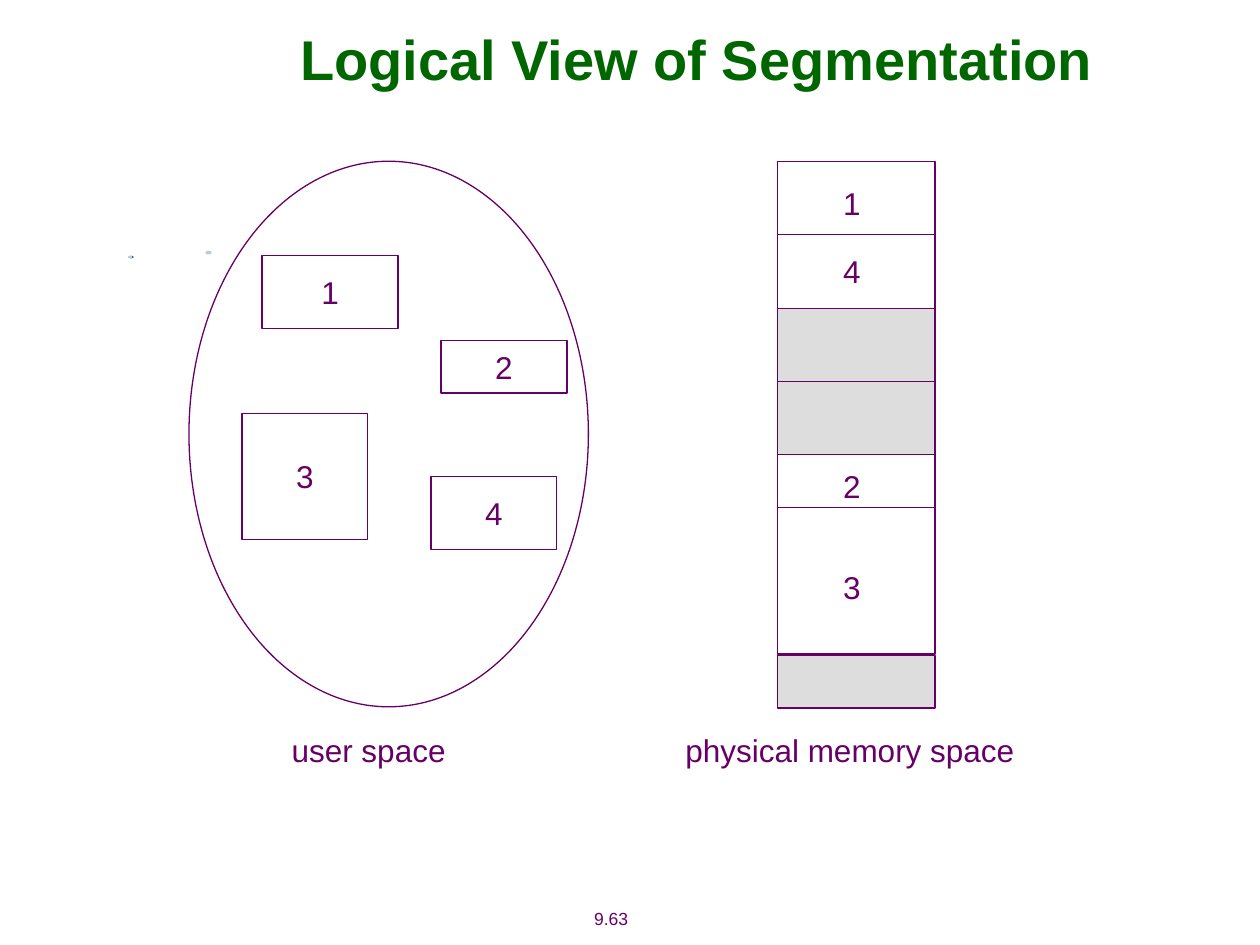
from lxml.etree import SubElement
from pptx import Presentation
from pptx.dml.color import RGBColor
from pptx.enum.shapes import MSO_CONNECTOR, MSO_SHAPE
from pptx.enum.text import MSO_ANCHOR, PP_ALIGN
from pptx.oxml.ns import qn
from pptx.util import Inches, Pt

PURPLE = RGBColor(0x66, 0x00, 0x66)
GREEN = RGBColor(0x00, 0x66, 0x00)
WHITE = RGBColor(0xFF, 0xFF, 0xFF)
FREE_GRAY = RGBColor(0xDD, 0xDD, 0xDD)
SPECK_BLUE = RGBColor(0x28, 0x4C, 0x70)
SPECK_GRAY = RGBColor(0xBF, 0xCC, 0xD8)


def write_text(shape, text, size=18, color=PURPLE, bold=False, wrap=False):
    frame = shape.text_frame
    frame.word_wrap = wrap
    frame.vertical_anchor = MSO_ANCHOR.MIDDLE
    para = frame.paragraphs[0]
    para.alignment = PP_ALIGN.CENTER
    span = para.add_run()
    span.text = text
    span.font.name = "Arial"
    span.font.size = Pt(size)
    span.font.bold = bold
    span.font.color.rgb = color


def add_outline(page, kind, left, top, width, height, fill=WHITE, line=PURPLE):
    shape = page.shapes.add_shape(
        kind, Inches(left), Inches(top), Inches(width), Inches(height))
    shape.shadow.inherit = False
    shape.fill.solid()
    shape.fill.fore_color.rgb = fill
    if line is None:
        shape.line.fill.background()
    else:
        shape.line.color.rgb = line
        shape.line.width = Pt(0.75)
    return shape


def add_label(page, text, left, top, width, height=0.4, size=18):
    box = page.shapes.add_textbox(
        Inches(left), Inches(top), Inches(width), Inches(height))
    write_text(box, text, size)


def add_divider(page, left, top, width):
    line = page.shapes.add_connector(
        MSO_CONNECTOR.STRAIGHT, Inches(left), Inches(top),
        Inches(left + width), Inches(top))
    line.line.color.rgb = PURPLE
    line.line.width = Pt(0.75)
    SubElement(line._element.spPr, qn("a:effectLst"))


def add_title(page, left, top, width, height):
    title = page.shapes.title
    title.left, title.top = Inches(left), Inches(top)
    title.width, title.height = Inches(width), Inches(height)
    write_text(title, "Logical View of Segmentation", 32, GREEN, True, True)


def add_specks(page, left, top):
    specks = [
        (0, 0.04, 0.04, 0.02, SPECK_BLUE),
        (0, 0.04, 0.03, 0.02, SPECK_GRAY),
        (0.61, 0, 0.05, 0.03, SPECK_GRAY),
    ]
    for x, y, width, height, color in specks:
        add_outline(page, MSO_SHAPE.OVAL, left + x, top + y,
                    width, height, color, None)


def add_user_space(page, left, top, width, height):
    add_outline(page, MSO_SHAPE.OVAL, left, top, width, height)
    segments = [
        ("1", 0.58, 0.75, 1.08, 0.58),
        ("3", 0.42, 2, 1, 1),
        ("2", 2, 1.42, 1, 0.42),
        ("4", 1.92, 2.5, 1, 0.58),
    ]
    for name, x, y, seg_width, seg_height in segments:
        segment = add_outline(page, MSO_SHAPE.RECTANGLE, left + x, top + y,
                              seg_width, seg_height)
        write_text(segment, name)
    add_label(page, "user space", left + 0.68, top + height + 0.14, 1.49)


def add_physical_memory(page, left, top, width, height):
    blocks = [
        (0, 1.17, WHITE),
        (1.17, 1.17, FREE_GRAY),
        (2.33, 1.58, WHITE),
        (3.92, 0.42, FREE_GRAY),
    ]
    for y, block_height, fill in blocks:
        add_outline(page, MSO_SHAPE.RECTANGLE, left, top + y,
                    width, block_height, fill)
    for y in (0.58, 1.75, 2.75):
        add_divider(page, left, top + y, width)
    for name, y in (("1", 0.13), ("4", 0.67), ("2", 2.38), ("3", 3.18)):
        add_label(page, name, left + 0.42, top + y, 0.34)
    add_label(page, "physical memory space",
              left - 0.83, top + height + 0.14, 2.81)


def main():
    deck = Presentation()
    deck.slide_width, deck.slide_height = Inches(10), Inches(7.5)
    page = deck.slides.add_slide(deck.slide_layouts[5])
    add_specks(page, 1.02, 1.99)
    add_title(page, 1.28, 0, 8.5, 0.92)
    add_user_space(page, 1.5, 1.28, 3.17, 4.33)
    add_physical_memory(page, 6.17, 1.28, 1.25, 4.33)
    add_label(page, "9.63", 4.38, 7.14, 0.94, 0.3, 10)
    deck.save("out.pptx")


if __name__ == "__main__":
    main()
